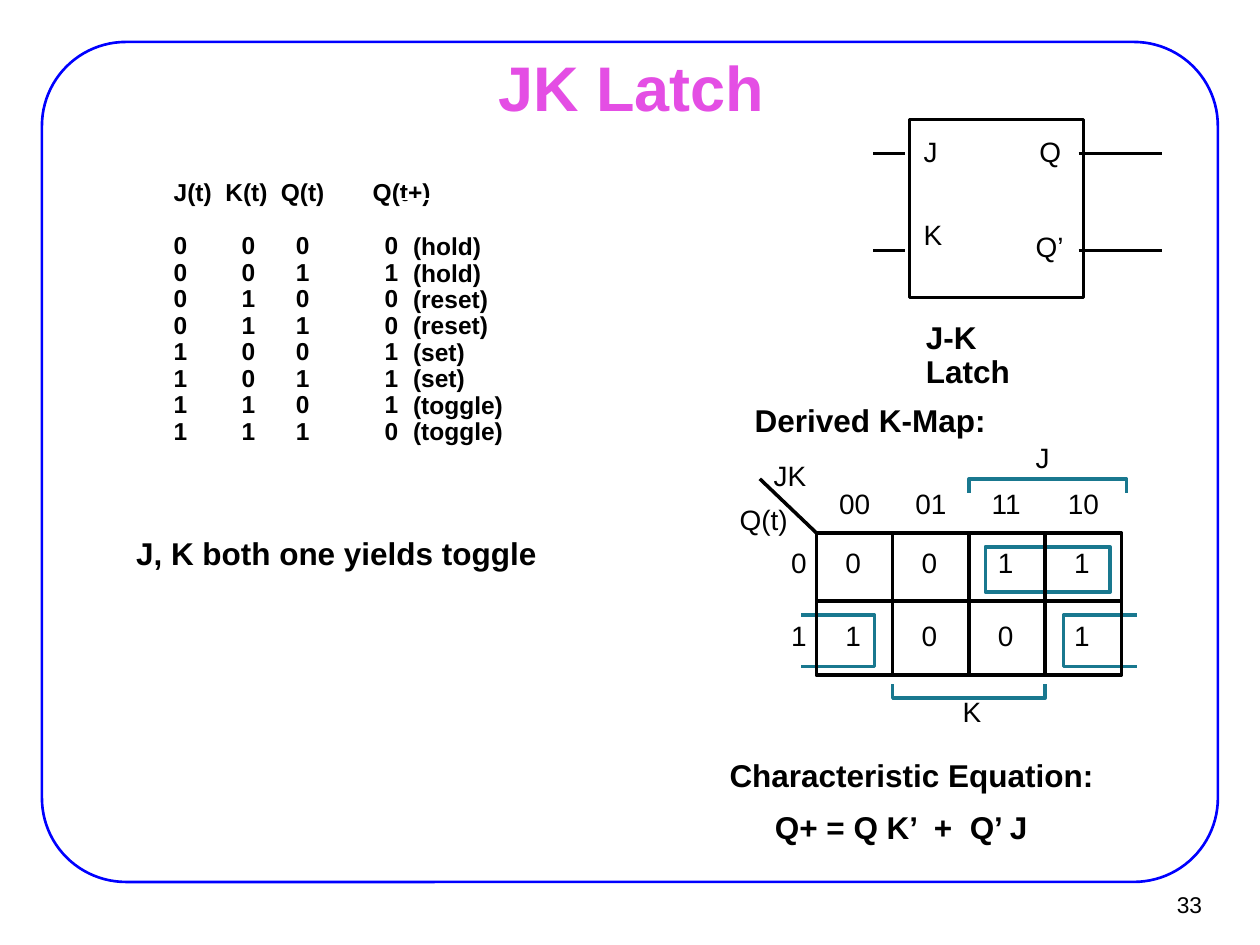
from pptx import Presentation
from pptx.dml.color import RGBColor
from pptx.enum.shapes import MSO_CONNECTOR, MSO_SHAPE
from pptx.enum.text import MSO_ANCHOR, PP_ALIGN
from pptx.oxml.ns import qn
from pptx.util import Emu, Inches, Pt
from lxml.etree import SubElement

COLORS = {"ink": "000000", "frame": "0000FF", "title": "E44EE4",
          "loop": "19788F", "paper": "FFFFFF"}
FONT = "Arial"
COLS = 100

HEADER = ["J(t)", "K(t)", "Q(t)", "Q(t+)"]
TRUTH = ["0000", "0011", "0100", "0110", "1001", "1011", "1101", "1110"]
ACTIONS = ["hold", "reset", "set", "toggle"]
HEADER_TABS = [4.1, 8.5, 15.8]
ROW_TABS = [5.4, 9.7, 16.75]

HEADINGS = [
    ("J, K both one yields toggle", (6, 40, 37.4, 5.7), (4.8, 3.5)),
    ("Characteristic Equation:", (57.2, 60.2, 30.3, 3.1), (0.7, 0.3)),
    ("Q+ = Q K’  +  Q’ J", (60.8, 64.3, 21.7, 3.1), (0.7, 0.3)),
    ("Derived K-Map:", (59.2, 32, 22, 3.1), (0.7, 0.3)),
]

PINS = [("J", 73.3, 11), ("K", 73.3, 17.6), ("Q", 82.5, 11), ("Q’", 82.2, 18.5)]
WIRE_ROWS = [12.2, 19.9]
WIRE_SPANS = [(69.3, 71.8), (85.6, 92.2)]

MAP_LEFT, MAP_PITCH = 64.8, 6.05
MAP_ROWS = [42.3, 47.7, 53.6]
MAP_DIGIT_ROWS = [43.3, 49.1]
MAP_HEADS = ["00", "01", "11", "10"]
MAP_CELLS = ["0011", "1001"]
MAP_LABELS = [("JK", 61.4, 36.4), ("Q(t)", 58.7, 39.9),
              ("J", 82.2, 35), ("K", 76.4, 55.1)]

prs = Presentation()
prs.slide_width, prs.slide_height = Inches(10), Inches(7.5)
slide = prs.slides.add_slide(prs.slide_layouts[6])
shapes = slide.shapes


def u(n):
    return Emu(round(n * prs.slide_width / COLS))


def rgb(name):
    return RGBColor.from_string(COLORS[name])


def stroke(s, color, width=2):
    s.line.color.rgb = rgb(color)
    s.line.width = Pt(width)


def outline(kind, box, color, width=2):
    s = shapes.add_shape(kind, *map(u, box))
    s.shadow.inherit = False
    s.fill.background()
    stroke(s, color, width)
    return s


def line(x1, y1, x2, y2):
    s = shapes.add_connector(MSO_CONNECTOR.STRAIGHT, u(x1), u(y1), u(x2), u(y2))
    stroke(s, "ink")
    SubElement(s._element.spPr, qn("a:effectLst"))


def bracket(*points):
    pts = [(u(x), u(y)) for x, y in points]
    fb = shapes.build_freeform(*pts[0])
    fb.add_line_segments(pts[1:], close=False)
    s = fb.convert_to_shape()
    s.shadow.inherit = False
    s.fill.background()
    stroke(s, "loop")


def write(s, lines, size, bold=False, color="ink", inset=(0, 0), spacing=1.0,
          align=PP_ALIGN.LEFT, anchor=MSO_ANCHOR.TOP, wrap=False):
    tf = s.text_frame
    tf.text = "\n".join(lines)
    tf.word_wrap = wrap
    tf.vertical_anchor = anchor
    tf.margin_left = tf.margin_right = u(inset[0])
    tf.margin_top = tf.margin_bottom = u(inset[1])
    for p in tf.paragraphs:
        p.alignment = align
        p.line_spacing = spacing
        for r in p.runs:
            r.font.name, r.font.size, r.font.bold = FONT, Pt(size), bold
            r.font.color.rgb = rgb(color)
    return tf


def text(content, box, size, **style):
    return write(shapes.add_textbox(*map(u, box)), [content], size, **style)


def label(content, x, y, spacing=1.0):
    text(content, (x, y, 1.55 * len(content), 2.7), 16, spacing=spacing)


def set_tabs(p, stops):
    tabs = SubElement(p._p.get_or_add_pPr(), qn("a:tabLst"))
    for stop in stops:
        SubElement(tabs, qn("a:tab"), pos=str(u(stop)), algn="l")


def truth_table():
    s = outline(MSO_SHAPE.RECTANGLE, (12.8, 13.8, 22.9, 22.2), "paper", 1)
    rows = ["\t".join(row) for row in [HEADER] + TRUTH]
    tf = write(s, rows, 14, bold=True, inset=(1, 0.5), spacing=0.9, wrap=True)
    head, *body = tf.paragraphs
    head.space_after = Pt(15.5)
    set_tabs(head, HEADER_TABS)
    for p in body:
        set_tabs(p, ROW_TABS)
    s = outline(MSO_SHAPE.RECTANGLE, (31.8, 15.8, 9.7, 20.1), "paper", 1)
    notes = [f"({a})" for a in ACTIONS for _ in range(2)]
    tf = write(s, notes, 14, bold=True, inset=(1, 2.8), spacing=0.9, wrap=True)
    tf.margin_bottom = 0


def latch_symbol():
    outline(MSO_SHAPE.RECTANGLE, (72.2, 9.5, 13.8, 14.1), "ink")
    for y in WIRE_ROWS:
        for x1, x2 in WIRE_SPANS:
            line(x1, y, x2, y)
    for name, x, y in PINS:
        label(name, x, y, spacing=0.9)
    text("J-K Latch", (72.5, 25.1, 13, 5.8), 18, bold=True,
         inset=(1, 0.5), spacing=0.9, wrap=True)


def karnaugh_map():
    edges = [MAP_LEFT + i * MAP_PITCH for i in range(5)]
    top, middle, bottom = MAP_ROWS
    outline(MSO_SHAPE.RECTANGLE, (78.2, 43.4, 9.9, 3.6), "loop")
    for outer, inner in [(90.2, 84.4), (63.6, 69.4)]:
        bracket((outer, 52.9), (inner, 52.9), (inner, 48.8), (outer, 48.8))
    bracket((edges[3], 54.3), (edges[3], 55.4), (edges[1], 55.4), (edges[1], 54.3))
    bracket((edges[2], 39.1), (edges[2], 38), (89.4, 38), (89.4, 39.1))
    outline(MSO_SHAPE.RECTANGLE,
            (edges[0], top, edges[4] - edges[0], bottom - top), "ink")
    for x in edges[1:4]:
        line(x, top, x, bottom)
    line(edges[0], middle, edges[4], middle)
    line(edges[0], top, 60.3, 38)
    for x, name in zip(edges, MAP_HEADS):
        label(name, x + 1.8, 38.6)
    for i, (y, row) in enumerate(zip(MAP_DIGIT_ROWS, MAP_CELLS)):
        label(str(i), 62.8, y)
        for x, value in zip(edges, row):
            label(value, x + 2.3, y)
    for name, x, y in MAP_LABELS:
        label(name, x, y)


frame = outline(MSO_SHAPE.ROUNDED_RECTANGLE, (3.33, 3.33, 93.33, 66.67), "frame", 1.5)
frame.adjustments[0] = 0.1
text("33", (90.2, 69.9, 6.1, 3.7), 13, inset=(0.9, 0.4),
     align=PP_ALIGN.RIGHT, anchor=MSO_ANCHOR.MIDDLE)
text("JK Latch", (7.6, 4.4, 85, 4.9), 36, bold=True, color="title",
     inset=(1.1, 0.6), align=PP_ALIGN.CENTER, anchor=MSO_ANCHOR.MIDDLE, wrap=True)
for content, box, inset in HEADINGS:
    tf = text(content, box, 18, bold=True, inset=inset, spacing=0.85)
    tf.margin_right, tf.margin_bottom = u(0.7), u(0.3)
latch_symbol()
truth_table()
karnaugh_map()
prs.save("out.pptx")
